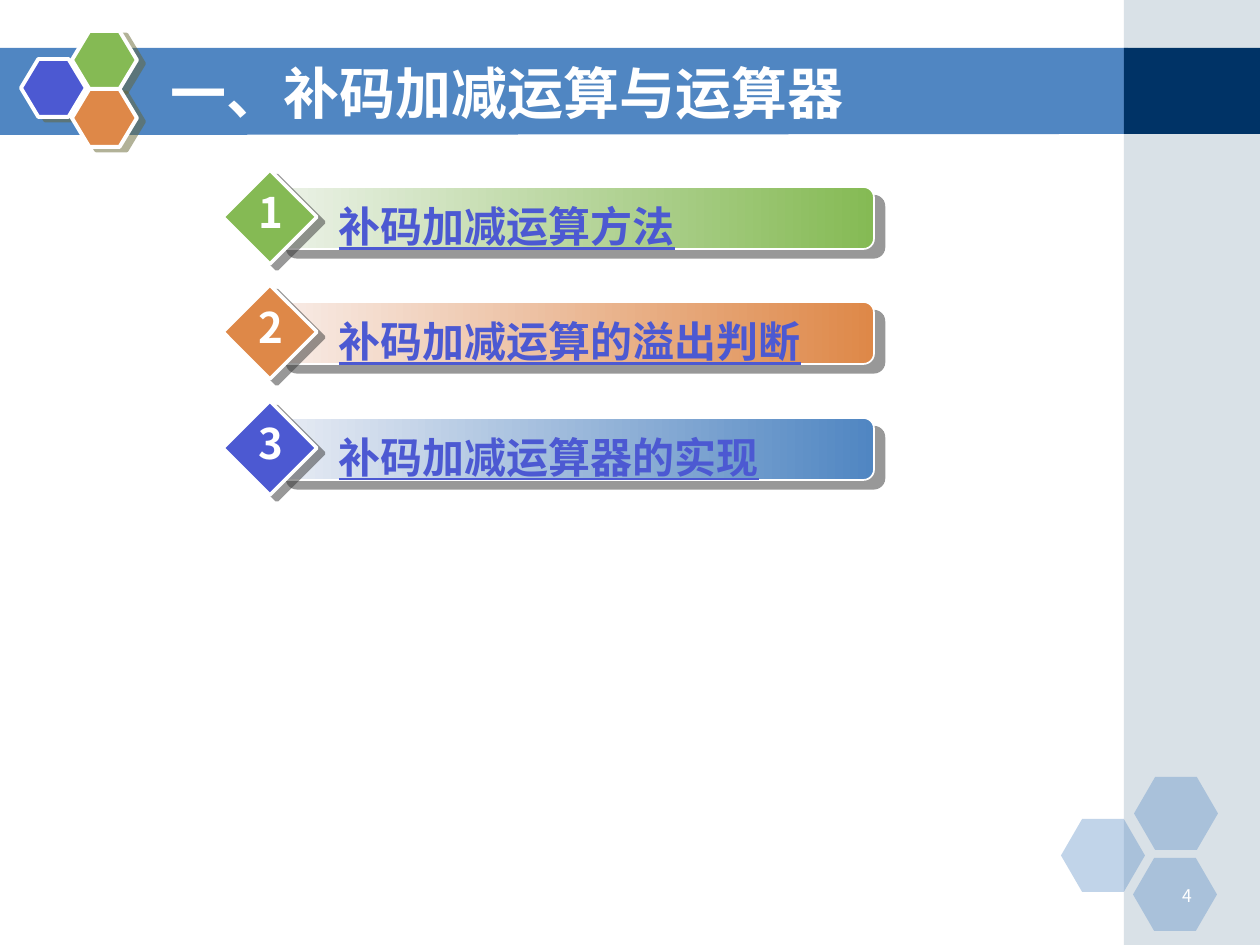
import pptx
import pptx.util
import pptx.dml.color
import pptx.enum.shapes
import pptx.enum.text
import pptx.oxml.ns
import lxml.etree

SCALE = 914400 / 126
FONT = "Noto Sans CJK SC"
HUES = {
    "white": "FFFFFF", "blue": "5086C2", "navy": "003366", "gray": "A0B5C4",
    "violet": "4C59D2", "green": "85BA54", "orange": "DE8848",
    "olive": "666633", "dark": "333333",
    "pale green": "ECF2E8", "pale orange": "F8ECE7", "pale blue": "E8ECF4",
}
KINDS = pptx.enum.shapes.MSO_SHAPE
ALIGN = pptx.enum.text.PP_ALIGN
ANCHOR = pptx.enum.text.MSO_ANCHOR


def emu(px):
    return round(px * SCALE)


def rgb(name):
    return pptx.dml.color.RGBColor.from_string(HUES[name])


def add_sub(node, tag, **attrs):
    return lxml.etree.SubElement(node, pptx.oxml.ns.qn(tag), **attrs)


def paint(shape, fill, alpha=None, line=None):
    shape.shadow.inherit = False
    shape.fill.solid()
    shape.fill.fore_color.rgb = rgb(fill)
    if alpha:
        tint = shape._element.spPr.find(".//" + pptx.oxml.ns.qn("a:srgbClr"))
        add_sub(tint, "a:alpha", val=str(alpha * 1000))
    if line:
        shape.line.color.rgb = rgb("white")
        shape.line.width = pptx.util.Pt(line)
    else:
        shape.line.fill.background()


def add_shade(shape, color, dist, angle):
    effect = shape._element.spPr.find(pptx.oxml.ns.qn("a:effectLst"))
    shade = add_sub(effect, "a:outerShdw", blurRad="0",
                    dist=str(round(dist * 12700)), dir=str(angle * 60000),
                    algn="ctr", rotWithShape="0")
    tint = add_sub(shade, "a:srgbClr", val=HUES[color])
    add_sub(tint, "a:alpha", val="50000")


def add_form(slide, kind, box, fill, adj=None, **style):
    shape = slide.shapes.add_shape(kind, *map(emu, box))
    if adj:
        shape.adjustments[0] = adj
    paint(shape, fill, **style)
    return shape


def add_text(slide, text, box, size=24, color="white", bold=True, under=False,
             align=ALIGN.LEFT, anchor=ANCHOR.TOP, wrap=True, left=13):
    frame = slide.shapes.add_textbox(*map(emu, box)).text_frame
    frame.word_wrap = wrap
    frame.vertical_anchor = anchor
    frame.margin_left = emu(left)
    para = frame.paragraphs[0]
    para.alignment = align
    run = para.add_run()
    run.text = text
    font = run.font
    font.size = pptx.util.Pt(size)
    font.bold = bold
    font.underline = under
    font.color.rgb = rgb(color)
    font.name = FONT
    add_sub(font._element, "a:ea", typeface=FONT)


def add_band(slide):
    build = slide.shapes.build_freeform(-1, 48, scale=SCALE)
    build.add_line_segments([(1128, 48), (1128, 134), (-1, 135)], close=True)
    paint(build.convert_to_shape(), "blue")
    add_form(slide, KINDS.RECTANGLE, (1124, 0, 136, 945), "gray", alpha=40)
    add_form(slide, KINDS.RECTANGLE, (1124, 48, 136, 86), "navy")


def add_hexes(slide):
    for x, y in ((1061, 819), (1134, 777), (1133, 858)):
        add_form(slide, KINDS.HEXAGON, (x, y, 84, 73), "blue", 0.29, alpha=35)
    for x, y, hue in ((21, 59, "violet"), (72, 31, "green"), (72, 89, "orange")):
        hexa = add_form(slide, KINDS.HEXAGON, (x, y, 65, 58), hue, 0.3, line=2.25)
        add_shade(hexa, "olive", 4.5, 27)


def add_item(slide, num, top, text, pale, deep, mark):
    bar = add_form(slide, KINDS.ROUNDED_RECTANGLE, (276, top, 598, 62), deep,
                   0.17, line=1)
    bar.fill.gradient()
    bar.fill.gradient_angle = 0
    for stop, hue, place in zip(bar.fill.gradient_stops, (pale, deep), (0, 1)):
        stop.color.rgb = rgb(hue)
        stop.position = place
    add_shade(bar, "dark", 7.8, 40)
    gem = add_form(slide, KINDS.DIAMOND, (223, top - 17, 94, 94), mark, line=2)
    add_shade(gem, "dark", 5, 37)
    add_text(slide, text, (307, top + 7, 542, 63), color="violet", under=True,
             left=32)
    add_text(slide, str(num), (246, top - 7, 47, 63), align=ALIGN.CENTER,
             wrap=False)


def main():
    deck = pptx.Presentation()
    deck.slide_width = emu(1260)
    deck.slide_height = emu(945)
    slide = deck.slides.add_slide(deck.slide_layouts[6])
    add_band(slide)
    add_hexes(slide)
    add_text(slide, "4", (1142, 879, 63, 32), size=10, bold=False,
             align=ALIGN.RIGHT)
    add_text(slide, "一、补码加减运算与运算器", (158, 53, 924, 78), size=32,
             anchor=ANCHOR.MIDDLE)
    items = (
        ("补码加减运算方法", "pale green", "green", "green"),
        ("补码加减运算的溢出判断", "pale orange", "orange", "orange"),
        ("补码加减运算器的实现", "pale blue", "blue", "violet"),
    )
    for i, item in enumerate(items):
        add_item(slide, i + 1, 187 + i * 231 // 2, *item)
    deck.save("out.pptx")


if __name__ == "__main__":
    main()
